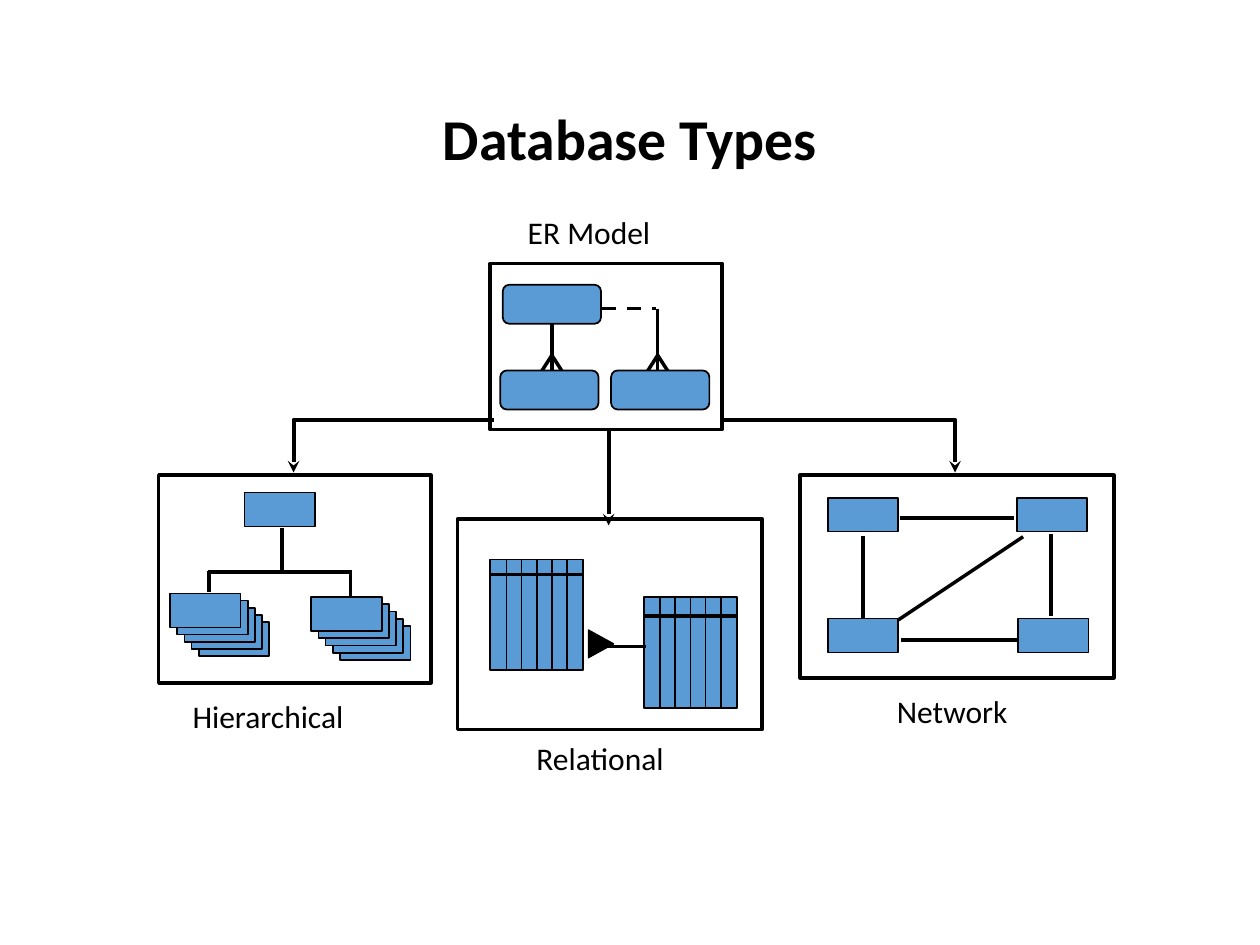
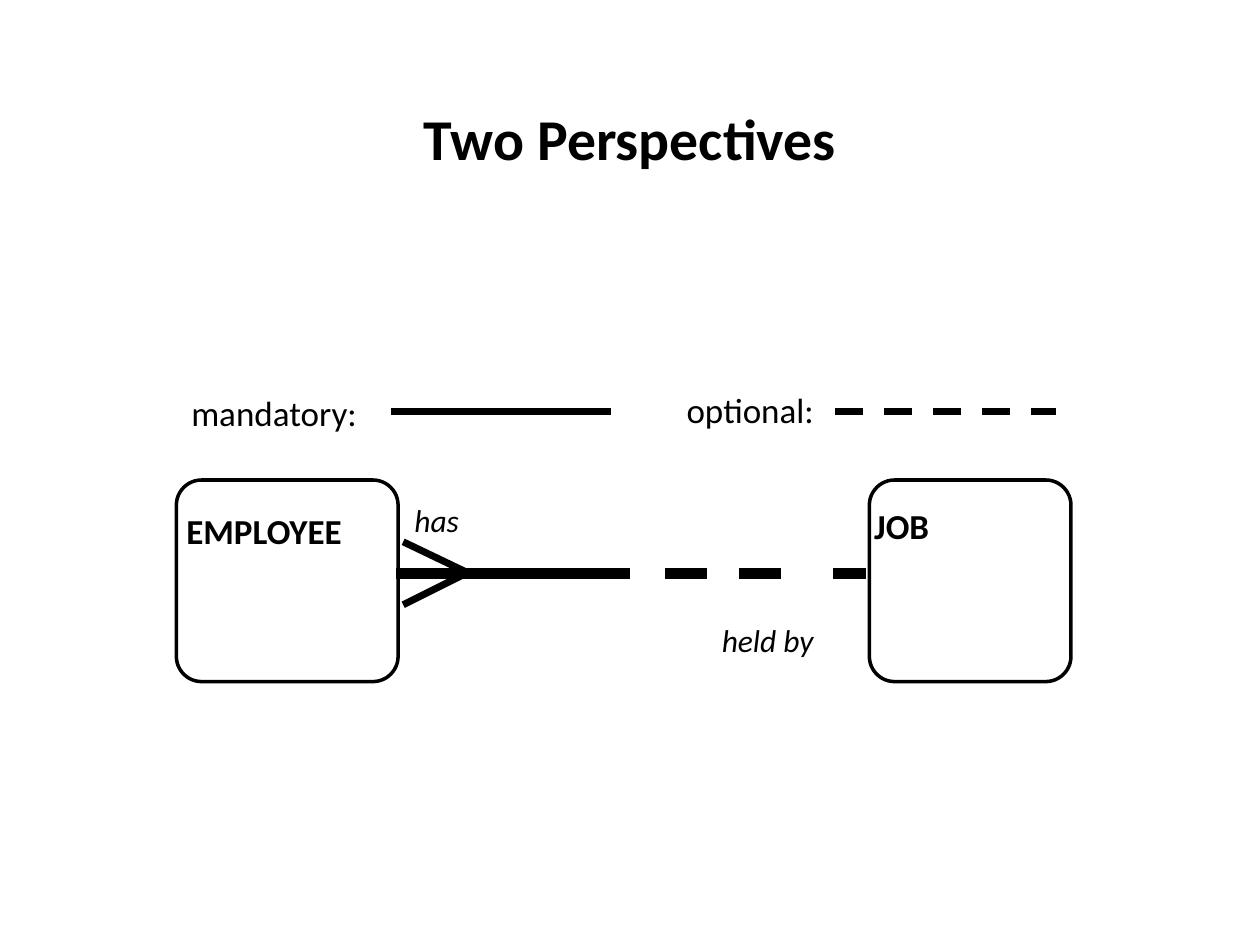
from lxml.etree import SubElement
from pptx import Presentation
from pptx.dml.color import RGBColor
from pptx.enum.dml import MSO_LINE
from pptx.enum.shapes import MSO_CONNECTOR, MSO_SHAPE
from pptx.enum.text import MSO_ANCHOR, MSO_AUTO_SIZE, PP_ALIGN
from pptx.oxml.ns import qn
from pptx.util import Inches, Pt

COLORS = {"ink": "000000", "node": "5B9BD5", "paper": "FFFFFF"}
FONT = "Calibri"
TITLE_AREA = (0.69, 0.4, 8.62, 1.45)
TITLE_FORMAT = {"size": Pt(33), "bold": True}
CAPTION_FORMAT = {"size": Pt(18), "bold": False}
ENTITY_FORMAT = {"size": Pt(20), "bold": True}
ROLE_FORMAT = {"size": Pt(18), "italic": True}
LEGEND_FORMAT = {"size": Pt(20), "bold": False}

# Database Types: (left, top, width, height) and (x1, y1, x2, y2) in inches
MODEL_PANELS = [
    (3.89, 2.09, 1.84, 1.32),
    (1.26, 3.77, 2.16, 1.65),
    (3.63, 4.12, 2.42, 1.67),
    (6.35, 3.77, 2.49, 1.61),
]
MODEL_CAPTIONS = [
    ("ER Model", (4.09, 1.64, 1.34, 0.4)),
    ("Hierarchical", (1.43, 5.48, 1.63, 0.4)),
    ("Relational", (4.16, 5.82, 1.4, 0.4)),
    ("Network", (7.02, 5.44, 1.19, 0.4)),
]
ENTITY_SIZE = (0.78, 0.31)
ENTITY_CORNERS = [(3.99, 2.26), (3.97, 2.94), (4.85, 2.94)]
ER_LINKS = [(4.38, 2.57, 4.38, 2.94), (5.22, 2.45, 5.22, 2.94)]
OPTIONAL_LINK = (4.78, 2.45, 5.21, 2.45)
CROW_FEET = [4.38, 5.22]

RECORD_SIZE = (0.56, 0.27)
ROOT_RECORD = (1.94, 3.91)
RECORD_STACKS = [(1.35, 4.71), (2.47, 4.74)]
STACK_DEPTH, STACK_STEP = 5, 0.057
TREE_LINKS = [
    (2.24, 4.19, 2.24, 4.55),
    (1.65, 4.54, 2.79, 4.54),
    (1.66, 4.53, 1.66, 4.7),
    (2.78, 4.54, 2.78, 4.74),
]
NETWORK_RECORDS = [(6.57, 3.95), (8.07, 3.95), (6.57, 4.91), (8.08, 4.91)]
NETWORK_LINKS = [
    (7.14, 4.11, 8.05, 4.11),
    (7.15, 5.08, 8.08, 5.08),
    (6.85, 4.25, 6.85, 4.91),
    (8.34, 4.24, 8.34, 4.89),
    (7.13, 4.92, 8.12, 4.26),
]
TABLE_SIZE = (0.74, 0.88)
TABLES = [((3.89, 4.44), 0.12), ((5.11, 4.74), 0.15)]  # corner, header height
TABLE_COLUMNS, COLUMN_WIDTH = 6, 0.12
TABLE_LINK = (4.71, 5.13, 5.13, 5.13)
TABLE_MARKER = (4.66, 5.01, 0.22, 0.2)
MODEL_ARROWS = [
    [(3.92, 3.33), (2.33, 3.33), (2.33, 3.75)],
    [(5.75, 3.33), (7.58, 3.33), (7.58, 3.75)],
]
RELATIONAL_ARROW = (4.83, 3.42, 4.83, 4.17)

# Two Perspectives
ENTITIES = [
    ("EMPLOYEE", (1.4, 3.81, 1.76, 1.6), (1.38, 4.02, 1.78, 0.42)),
    ("JOB", (6.9, 3.81, 1.6, 1.6), (6.84, 3.98, 0.83, 0.42)),
]
ROLES = [
    ("has", (3.19, 3.95, 1.62, 0.39)),
    ("held by", (5.63, 4.9, 1.62, 0.39)),
]
LEGEND = [  # label, label area, sample line, dashed
    ("mandatory:", (1.42, 3.08, 1.83, 0.42), (3.1, 3.27, 4.85, 3.27), False),
    ("optional:", (5.35, 3.06, 1.62, 0.42), (6.63, 3.27, 8.38, 3.27), True),
]
RELATION_PARTS = [  # line, weight, dashed
    ((6.61, 4.55, 6.87, 4.55), 6, True),
    ((3.2, 4.3, 3.7, 4.54), 4, False),
    ((3.2, 4.8, 3.7, 4.55), 4, False),
    ((3.14, 4.55, 5, 4.55), 6, False),
    ((5.28, 4.55, 6.44, 4.55), 6, True),
]


def color(role):
    return RGBColor.from_string(COLORS[role])


def inches(lengths):
    return [Inches(length) for length in lengths]


def write(frame, text, font_format, spacing=1.0):
    paragraph = frame.paragraphs[0]
    paragraph.text = text
    paragraph.line_spacing = spacing
    font = paragraph.runs[0].font
    for attribute, value in {"name": FONT, **font_format}.items():
        setattr(font, attribute, value)
    font.color.rgb = color("ink")
    return paragraph


def add_label(slide, text, area, font_format, spacing=1.0):
    frame = slide.shapes.add_textbox(*inches(area)).text_frame
    frame.word_wrap = True
    write(frame, text, font_format, spacing)


def ink_line(line, weight, dashed=False, arrow=False):
    line.color.rgb = color("ink")
    line.width = Pt(weight)
    if dashed:
        line.dash_style = MSO_LINE.DASH
    if arrow:
        SubElement(line._get_or_add_ln(), qn("a:tailEnd"), type="stealth")


def add_box(slide, area, fill=None, weight=1.0, kind=MSO_SHAPE.RECTANGLE, corner=None):
    box = slide.shapes.add_shape(kind, *inches(area))
    box.shadow.inherit = False
    if corner is not None:
        box.adjustments[0] = corner
    if fill:
        box.fill.solid()
        box.fill.fore_color.rgb = color(fill)
    else:
        box.fill.background()
    ink_line(box.line, weight)
    return box


def add_link(slide, ends, weight=2.0, dashed=False, arrow=False):
    link = slide.shapes.add_connector(MSO_CONNECTOR.STRAIGHT, *inches(ends))
    ink_line(link.line, weight, dashed, arrow)
    SubElement(link._element.spPr, qn("a:effectLst"))


def add_bent_arrow(slide, points):
    start, *turns = [inches(point) for point in points]
    builder = slide.shapes.build_freeform(*start)
    builder.add_line_segments(turns, close=False)
    arrow = builder.convert_to_shape()
    arrow.shadow.inherit = False
    arrow.fill.background()
    ink_line(arrow.line, 2.25, arrow=True)


def add_record(slide, corner):
    add_box(slide, (*corner, *RECORD_SIZE), "node")


def add_data_table(slide, corner, header):
    left, top = corner
    width, height = TABLE_SIZE
    add_box(slide, (*corner, *TABLE_SIZE), "node")
    add_link(slide, (left, top + header, left + width, top + header))
    for column in range(1, TABLE_COLUMNS):
        x = left + column * COLUMN_WIDTH + 0.01
        add_link(slide, (x, top, x, top + height - 0.01), 1)


def add_titled_slide(deck, title):
    slide = deck.slides.add_slide(deck.slide_layouts[5])
    slide.background.fill.solid()
    slide.background.fill.fore_color.rgb = color("paper")
    heading = slide.shapes.title
    heading.left, heading.top, heading.width, heading.height = inches(TITLE_AREA)
    frame_format = {"vertical_anchor": MSO_ANCHOR.MIDDLE,
                    "auto_size": MSO_AUTO_SIZE.NONE, "word_wrap": True}
    for attribute, value in frame_format.items():
        setattr(heading.text_frame, attribute, value)
    write(heading.text_frame, title, TITLE_FORMAT, 0.9).alignment = PP_ALIGN.CENTER
    return slide


def build_database_types(deck):
    slide = add_titled_slide(deck, "Database Types")
    for panel in MODEL_PANELS:
        add_box(slide, panel, weight=2)
    for caption, area in MODEL_CAPTIONS:
        add_label(slide, caption, area, CAPTION_FORMAT)

    # Links lie below the boxes they join
    for link in ER_LINKS + TREE_LINKS + NETWORK_LINKS:
        add_link(slide, link)
    add_link(slide, OPTIONAL_LINK, dashed=True)
    for x in CROW_FEET:
        for side in (-0.09, 0.09):
            add_link(slide, (x, 2.82, x + side, 2.96))

    # ER model entities
    for corner in ENTITY_CORNERS:
        add_box(slide, (*corner, *ENTITY_SIZE), "node",
                kind=MSO_SHAPE.ROUNDED_RECTANGLE, corner=0.17)

    # Hierarchical and network records, stacks from back to front
    for corner in [ROOT_RECORD] + NETWORK_RECORDS:
        add_record(slide, corner)
    for left, top in RECORD_STACKS:
        for layer in reversed(range(STACK_DEPTH)):
            offset = layer * STACK_STEP
            add_record(slide, (left + offset, top + offset))

    # Relational tables
    for corner, header in TABLES:
        add_data_table(slide, corner, header)
    marker = add_box(slide, TABLE_MARKER, "ink", 0.75, MSO_SHAPE.ISOSCELES_TRIANGLE)
    marker.rotation = 90
    add_link(slide, TABLE_LINK)

    # Arrows from the ER model to each database type
    add_link(slide, RELATIONAL_ARROW, 2.25, arrow=True)
    for points in MODEL_ARROWS:
        add_bent_arrow(slide, points)


def build_two_perspectives(deck):
    slide = add_titled_slide(deck, "Two Perspectives")
    for ends, weight, dashed in RELATION_PARTS:
        add_link(slide, ends, weight, dashed)
    for entity, area, label_area in ENTITIES:
        add_box(slide, area, weight=2, kind=MSO_SHAPE.ROUNDED_RECTANGLE, corner=0.125)
        add_label(slide, entity, label_area, ENTITY_FORMAT, 0.95)
    for role, area in ROLES:
        add_label(slide, role, area, ROLE_FORMAT, 0.95)
    for label, area, sample, dashed in LEGEND:
        add_label(slide, label, area, LEGEND_FORMAT, 0.95)
        add_link(slide, sample, 4, dashed)


def main():
    deck = Presentation()
    deck.slide_width, deck.slide_height = inches((10, 7.5))
    build_database_types(deck)
    build_two_perspectives(deck)
    deck.save("out.pptx")


if __name__ == "__main__":
    main()
